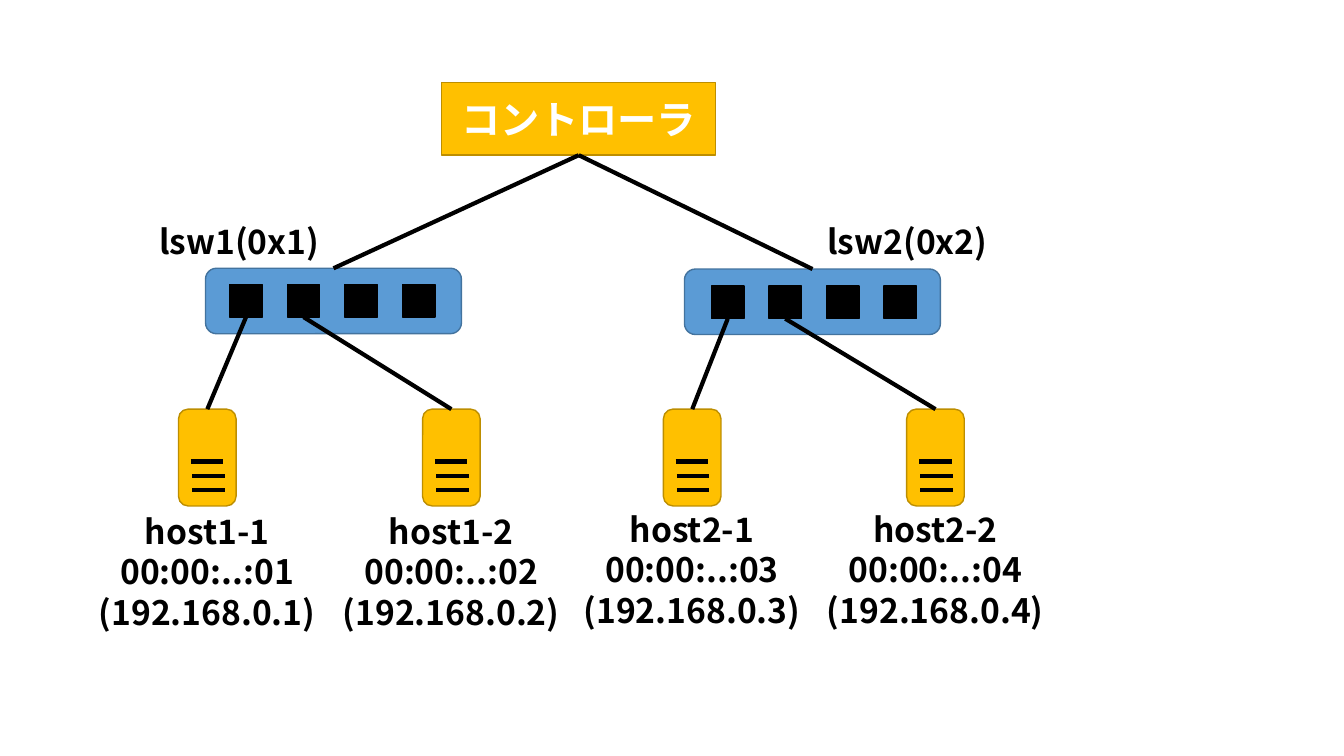
from lxml.etree import SubElement
from pptx import Presentation
from pptx.dml.color import RGBColor
from pptx.enum.shapes import MSO_CONNECTOR, MSO_SHAPE
from pptx.enum.text import MSO_ANCHOR, PP_ALIGN
from pptx.oxml.ns import qn
from pptx.util import Cm, Pt

HUES = {"gold": "FFC000", "rust": "BD8E00", "blue": "5B9BD5",
        "navy": "43739E", "black": "000000", "white": "FFFFFF"}
FONT = "Noto Sans CJK JP"


class Sketch:
    """Holds the style and the current slide."""

    def __init__(self, deck):
        """Add a blank slide to draw on."""
        self.slide = deck.slides.add_slide(deck.slide_layouts[6])
        self.shapes = self.slide.shapes

    def hue(self, name):
        """Return a named colour."""
        return RGBColor.from_string(HUES[name])

    def box(self, kind, x, y, wide, high, fill, edge, home=None):
        """Draw a filled preset shape on the slide or in a group."""
        shape = (home or self.shapes).add_shape(
            kind, Cm(x), Cm(y), Cm(wide), Cm(high))
        shape.shadow.inherit = False
        shape.fill.solid()
        shape.fill.fore_color.rgb = self.hue(fill)
        shape.line.color.rgb = self.hue(edge)
        shape.line.width = Pt(1)
        return shape

    def line(self, x1=0, y1=0, x2=0, y2=0, home=None):
        """Draw a thick straight line."""
        line = (home or self.shapes).add_connector(
            MSO_CONNECTOR.STRAIGHT, Cm(x1), Cm(y1), Cm(x2), Cm(y2))
        line.line.color.rgb = self.hue("black")
        line.line.width = Pt(3)
        SubElement(line._element.spPr, qn("a:effectLst"))
        return line

    def link(self, low, high):
        """Join the top of the low shape to the bottom of the high one."""
        line = self.line()
        line.begin_connect(low, 0)
        line.end_connect(high, 2)

    def words(self, frame, rows, size=24, color="black", align=PP_ALIGN.CENTER):
        """Fill a text frame with one bold paragraph per row."""
        frame.text = "\n".join(rows)
        for para in frame.paragraphs:
            para.alignment = align
            font = para.font
            font.name, font.size, font.bold = FONT, Pt(size), True
            font.color.rgb = self.hue(color)
            SubElement(font._element, qn("a:ea")).set("typeface", FONT)

    def label(self, x, y, wide, high, rows, wrap=True, **style):
        """Place a text box."""
        frame = self.shapes.add_textbox(
            Cm(x), Cm(y), Cm(wide), Cm(high)).text_frame
        frame.word_wrap = wrap
        self.words(frame, rows, **style)

    def switch(self, x, y, inset, drop):
        """Draw a switch and return its body and four ports."""
        home = self.shapes.add_group_shape().shapes
        body = self.box(MSO_SHAPE.ROUNDED_RECTANGLE, x, y, 6.45, 1.65,
                        "blue", "navy", home)
        ports = [self.box(MSO_SHAPE.RECTANGLE, x + inset + 1.45 * i, y + drop,
                          0.82, 0.82, "black", "black", home)
                 for i in range(4)]
        return body, ports

    def host(self, x, y):
        """Draw a host with three bars and return its body."""
        home = self.shapes.add_group_shape().shapes
        body = self.box(MSO_SHAPE.ROUNDED_RECTANGLE, x, y, 1.45, 2.44,
                        "gold", "rust", home)
        for i, inset in enumerate((0.31, 0.34, 0.34)):
            left, top = x + inset, y + 1.32 + 0.36 * i
            self.line(left, top, left + 0.82, top, home)
        return body


deck = Presentation()
deck.slide_width, deck.slide_height = Cm(33.87), Cm(19.05)
art = Sketch(deck)

control = art.box(MSO_SHAPE.RECTANGLE, 11.13, 2.08, 6.91, 1.83, "gold", "rust")
control.text_frame.vertical_anchor = MSO_ANCHOR.MIDDLE
art.words(control.text_frame, ["コントローラ"], 28, "white")

# switch left, top, port inset, port drop, name left, host lefts, host text top
nets = [(5.18, 6.76, 0.61, 0.41, 3.76, (4.5, 10.65), 12.75),
        (17.25, 6.78, 0.68, 0.43, 20.6, (16.72, 22.85), 12.7)]
for n, (x, y, inset, drop, name, lefts, top) in enumerate(nets, 1):
    body, ports = art.switch(x, y, inset, drop)
    art.label(name, 5.44, 4.6, 1.27, [f"lsw{n}(0x{n})"], wrap=False,
              align=PP_ALIGN.LEFT)
    art.link(body, control)
    for k, (left, port) in enumerate(zip(lefts, ports), 1):
        art.link(art.host(left, 10.31), port)
        count = 2 * (n - 1) + k
        art.label(left - 2.43, top, 6.3, 3.33,
                  [f"host{n}-{k}", f"00:00:..:{count:02}",
                   f"(192.168.0.{count})"])

deck.save("out.pptx")
